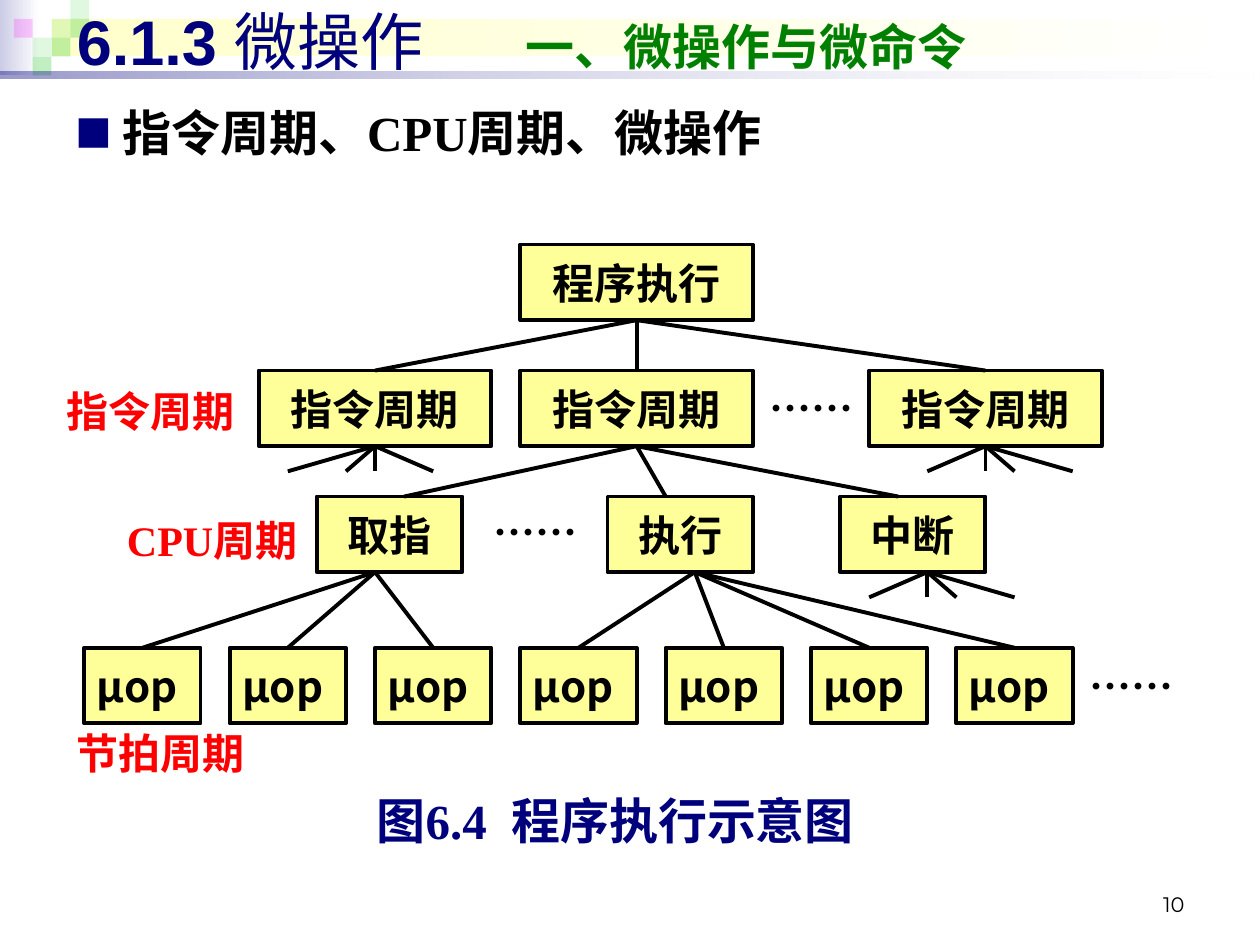
from lxml import etree
from pptx import Presentation
from pptx.dml.color import RGBColor
from pptx.enum.shapes import MSO_CONNECTOR, MSO_SHAPE
from pptx.enum.text import MSO_ANCHOR as ANCHOR, MSO_AUTO_SIZE, PP_ALIGN as ALIGN
from pptx.oxml.ns import qn
from pptx.util import Cm, Pt

NAVY = RGBColor(0x00, 0x00, 0x7D)
GREEN = RGBColor(0x00, 0x80, 0x00)
RED = RGBColor(0xFF, 0x00, 0x00)
BLACK = RGBColor(0x00, 0x00, 0x00)
WHITE = RGBColor(0xFF, 0xFF, 0xFF)
YELLOW = RGBColor(0xFF, 0xFF, 0x99)
LAVENDER = RGBColor(0xCC, 0xCC, 0xE6)
CREAM = RGBColor(0xFF, 0xFF, 0xCC)
LIME = RGBColor(0x33, 0xCC, 0x33)
MAGENTA = RGBColor(0xFF, 0x00, 0xFF)

CJK = "Noto Sans CJK SC"
SERIF = "Times New Roman"

# Diagram grid: boxes and lines sit on whole columns and rows
GRID_LEFT, GRID_TOP = 1.7, 4.93
COLUMN, ROW = 2.93 / 5, 2.54 / 5
BOX_ROWS = 3


def write(shape, text, size=24, font=CJK, color=BLACK, bold=True, align=ALIGN.LEFT,
          anchor=ANCHOR.TOP, margins=(0.25, 0.13)):
    """Append a formatted run to the first paragraph of a shape."""
    frame = shape.text_frame
    frame.word_wrap = True
    frame.auto_size = MSO_AUTO_SIZE.NONE
    frame.vertical_anchor = anchor
    frame.margin_left = frame.margin_right = Cm(margins[0])
    frame.margin_top = frame.margin_bottom = Cm(margins[1])
    paragraph = frame.paragraphs[0]
    paragraph.alignment = align
    run = paragraph.add_run()
    run.text = text
    run.font.size, run.font.bold, run.font.name = Pt(size), bold, font
    run.font.color.rgb = color
    east_asian = etree.SubElement(run.font._element, qn("a:ea"))
    east_asian.set("typeface", CJK)
    return paragraph


def add_block(left, top, width, height, colors, opacities=()):
    """Add a plain rectangle; two colours make a left-to-right gradient."""
    block = slide.shapes.add_shape(MSO_SHAPE.RECTANGLE, Cm(left), Cm(top), Cm(width), Cm(height))
    block.shadow.inherit = False
    block.line.fill.background()
    if len(colors) == 2:
        block.fill.gradient()
        block.fill.gradient_angle = 0
        for stop, color in zip(block.fill.gradient_stops, colors):
            stop.color.rgb = color
    else:
        block.fill.solid()
        block.fill.fore_color.rgb = colors[0]
    for color, opacity in zip(block._element.spPr.iter(qn("a:srgbClr")), opacities):
        etree.SubElement(color, qn("a:alpha")).set("val", str(opacity * 1000))
    return block


presentation = Presentation()
presentation.slide_width, presentation.slide_height = Cm(25.4), Cm(19.05)
slide = presentation.slides.add_slide(presentation.slide_layouts[5])

# Header decoration: two bands, a mosaic of squares and a rule
add_block(0, 0, 0.79, 1.52, [LAVENDER, WHITE])
add_block(1.04, 0.38, 24.26, 0.76, [CREAM, WHITE])
SQUARE = 0.38
for column, row, color, opacity in [
    (2, 1, LIME, 15), (3, 0, LIME, 15), (3, 1, LIME, 30), (1, 2, LIME, 15),
    (0, 1, MAGENTA, 20), (2, 2, LIME, 30), (1, 3, LIME, 30),
]:
    add_block(0.28 + column * SQUARE, row * SQUARE, SQUARE, SQUARE, [color], [opacity])
add_block(0, 1.45, 25.4, 0.13, [NAVY, WHITE], [40, 10])

# Title, brought in front of the decoration
title = slide.shapes.title
slide.shapes._spTree.append(title._element)
title.left, title.top, title.width, title.height = Cm(1.3), Cm(-0.08), Cm(23.8), Cm(1.8)
for text, size, color, bold in [
    ("6.1.3 ", 36, NAVY, True),
    ("微操作\t", 36, NAVY, False),
    ("一、微操作与微命令", 28, GREEN, True),
]:
    paragraph = write(title, text, size=size, font="Arial", color=color, bold=bold,
                      anchor=ANCHOR.MIDDLE)
tabs = etree.SubElement(paragraph._p.get_or_add_pPr(), qn("a:tabLst"))
etree.SubElement(tabs, qn("a:tab"), pos=str(Cm(9.05)), algn="l")

# Bulleted heading
heading = slide.shapes.add_textbox(Cm(1.27), Cm(1.93), Cm(23.83), Cm(3.4))
properties = write(heading, "指令周期、CPU周期、微操作", size=28, font=SERIF)._p.get_or_add_pPr()
properties.set("marL", str(Cm(0.95)))
properties.set("indent", str(Cm(-0.95)))
bullet_color = etree.SubElement(properties, qn("a:buClr"))
etree.SubElement(bullet_color, qn("a:srgbClr"), val=str(NAVY))
etree.SubElement(properties, qn("a:buSzPct"), val="75000")
etree.SubElement(properties, qn("a:buFont"), typeface=CJK)
etree.SubElement(properties, qn("a:buChar"), char="■")

# Figure caption
caption = add_block(6.5, 15.93, 11.81, 1.19, [WHITE])
write(caption, "图6.4  程序执行示意图", size=28, font=SERIF, color=NAVY,
      align=ALIGN.CENTER, anchor=ANCHOR.MIDDLE, margins=(0, 0))

# Tree boxes: text, column, row, width in columns, alignment
boxes = [("程序执行", 15, 0, 8, ALIGN.CENTER)]
boxes += [("指令周期", column, 5, 8, ALIGN.CENTER) for column in (6, 15, 27)]
boxes += [(text, column, 10, 5, ALIGN.CENTER)
          for text, column in (("取指", 8), ("执行", 18), ("中断", 26))]
boxes += [("μop", column, 16, 4, ALIGN.JUSTIFY) for column in range(0, 35, 5)]
for text, column, row, columns, align in boxes:
    box = add_block(GRID_LEFT + column * COLUMN, GRID_TOP + row * ROW,
                    columns * COLUMN, BOX_ROWS * ROW, [YELLOW])
    box.line.color.rgb = BLACK
    box.line.width = Pt(2.25)
    write(box, text, align=align, anchor=ANCHOR.MIDDLE, margins=(0.25, 0))

# Branches: start column, start row, end row, end columns
for start, start_row, end_row, ends in [
    (19, 3, 5, (10, 19, 31)),
    (10, 8, 9, (7, 9, 10, 12)),
    (31, 8, 9, (29, 31, 32, 34)),
    (19, 8, 10, (11, 20, 28)),
    (29, 13, 14, (27, 29, 30, 32)),
    (10, 13, 16, (2, 7, 12)),
    (21, 13, 16, (17, 22, 27, 32)),
]:
    for end in ends:
        branch = slide.shapes.add_connector(
            MSO_CONNECTOR.STRAIGHT,
            Cm(GRID_LEFT + start * COLUMN), Cm(GRID_TOP + start_row * ROW),
            Cm(GRID_LEFT + end * COLUMN), Cm(GRID_TOP + end_row * ROW))
        branch.line.color.rgb = BLACK
        branch.line.width = Pt(2.25)
        etree.SubElement(branch._element.spPr, qn("a:effectLst"))

# Ellipses, level labels and page number
for text, left, top, width, style in [
    ("……", 14.27, 7.59, 4.19, {"align": ALIGN.CENTER}),
    ("……", 8.71, 10.08, 4.19, {"align": ALIGN.CENTER}),
    ("……", 20.5, 13.18, 3.4, {"align": ALIGN.RIGHT}),
    ("指令周期", 1.09, 7.65, 5.59, {"font": SERIF, "color": RED}),
    ("CPU周期", 2.31, 10.24, 5.59, {"font": SERIF, "color": RED}),
    ("节拍周期", 1.3, 14.53, 5.59, {"font": SERIF, "color": RED}),
    ("10", 18.21, 17.35, 5.92, {"size": 12, "font": "Montserrat", "bold": False,
                                "align": ALIGN.RIGHT, "anchor": ANCHOR.BOTTOM}),
]:
    label = slide.shapes.add_textbox(Cm(left), Cm(top), Cm(width), Cm(1.27))
    write(label, text, **style)

presentation.save("out.pptx")
